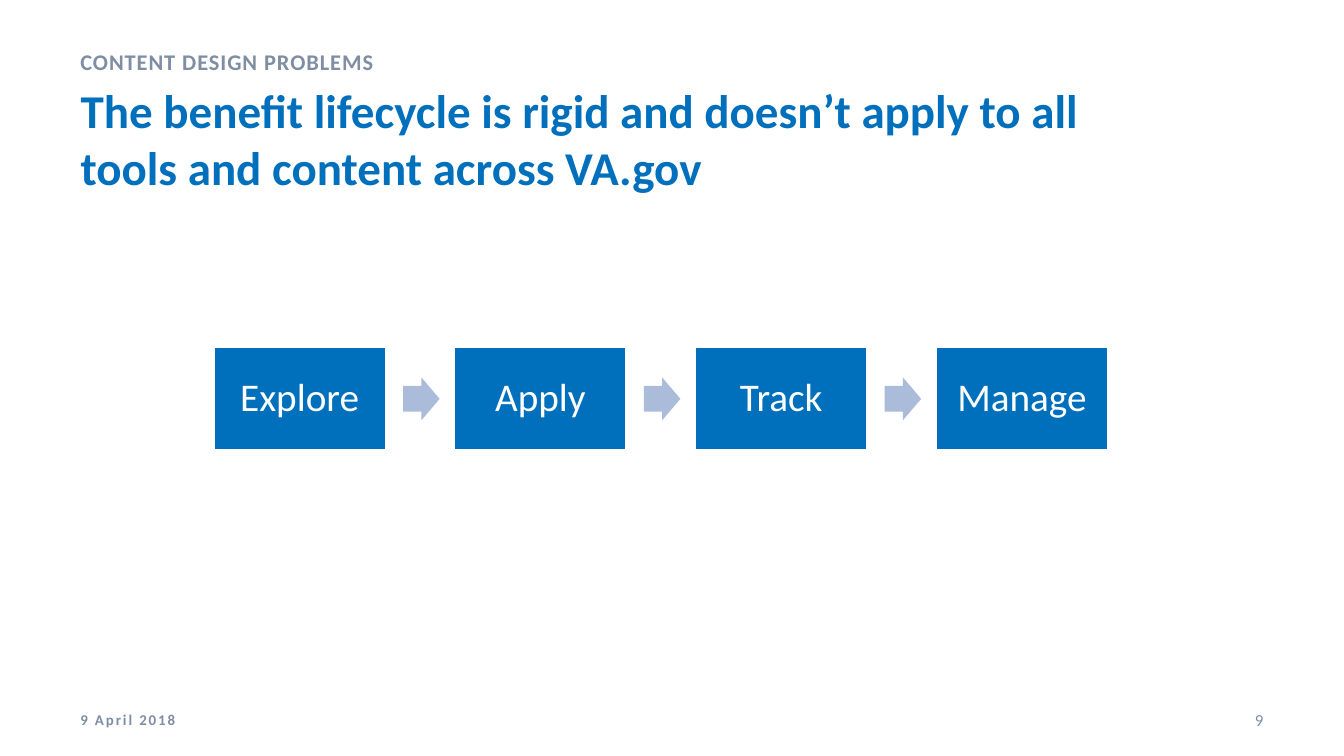
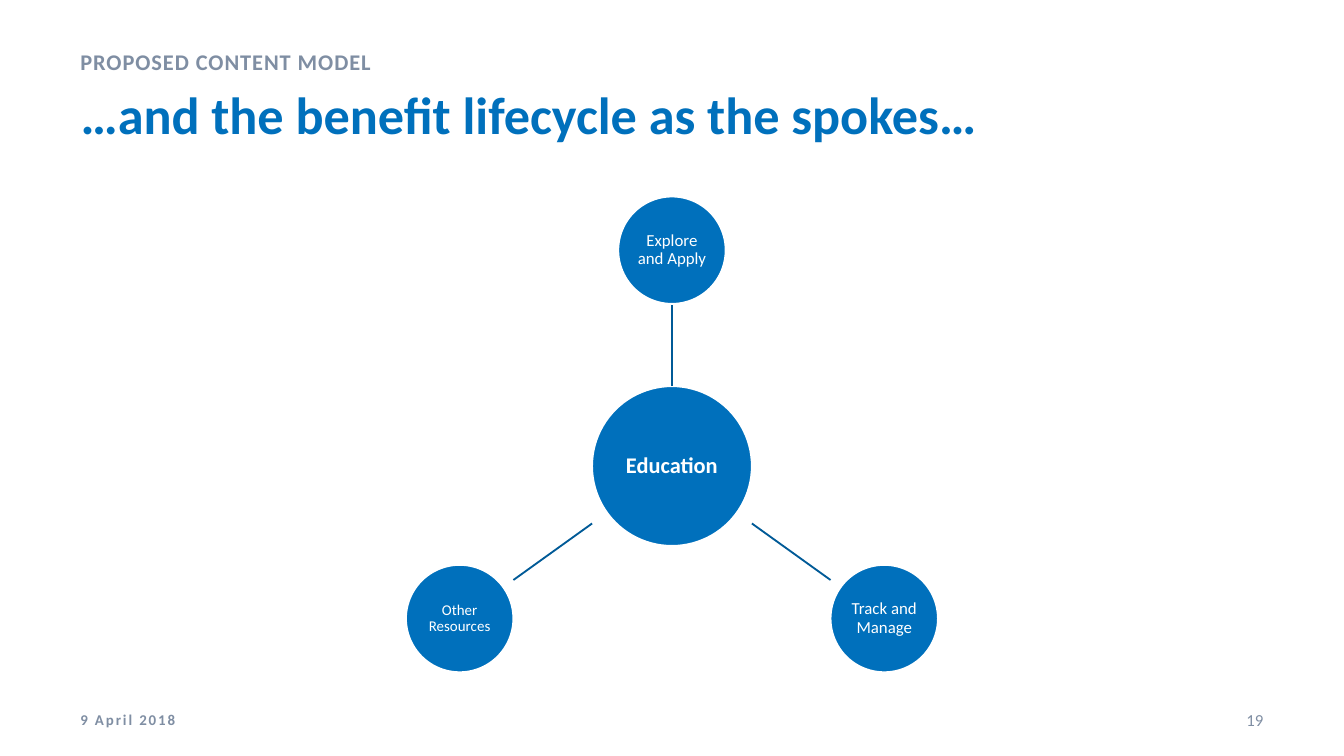
from dataclasses import dataclass
from math import cos, radians, sin

from lxml.etree import SubElement
from pptx import Presentation
from pptx.dml.color import RGBColor
from pptx.enum.shapes import MSO_CONNECTOR, MSO_SHAPE
from pptx.enum.text import MSO_ANCHOR as Anchor, MSO_AUTO_SIZE as AutoSize, PP_ALIGN as Align
from pptx.oxml.ns import qn
from pptx.presentation import Presentation as Deck
from pptx.shapes.autoshape import Shape
from pptx.slide import Slide
from pptx.text.text import TextFrame
from pptx.util import Cm, Pt

BLUE = RGBColor(0x00, 0x70, 0xBC)
DARK_BLUE = RGBColor(0x00, 0x5A, 0x97)
PALE_BLUE = RGBColor(0xAB, 0xBB, 0xDA)
GREY = RGBColor(0x7F, 0x8E, 0xA3)
WHITE = RGBColor(0xFF, 0xFF, 0xFF)

FONT = "Calibri"
DATE = "9 April 2018"
MARGIN = 1.27
HEADING_WIDTH = 20.96
FOOTER_TOP, FOOTER_HEIGHT = 13.23, 0.76

STAGES = ("Explore", "Apply", "Track", "Manage")
STAGE_LEFT, STAGE_WIDTH, STAGE_HEIGHT, STAGE_PITCH = 4.04, 3.25, 1.95, 4.55
STAGE_MIDDLE = 7.54
ARROW_WIDTH, ARROW_HEIGHT, ARROW_GAP = 0.69, 0.81, 0.33

HUB_X, HUB_Y = 12.7, 8.81
HUB_SIZE, SPOKE_SIZE = 3.02, 2.03


@dataclass(frozen=True)
class Box:
    left: float
    top: float
    width: float
    height: float

    def lengths(self) -> tuple[Cm, Cm, Cm, Cm]:
        return Cm(self.left), Cm(self.top), Cm(self.width), Cm(self.height)


@dataclass(frozen=True)
class TextStyle:
    size: float
    color: RGBColor
    bold: bool = False
    align: Align = Align.LEFT
    line_spacing: float = 1.0
    tracking: float = 0


@dataclass(frozen=True)
class Spoke:
    label: str
    angle: float
    distance: float
    size: float


KICKER_STYLE = TextStyle(12, GREY, bold=True, line_spacing=1.2, tracking=0.5)
DATE_STYLE = TextStyle(8, GREY, bold=True, tracking=1)
NUMBER_STYLE = TextStyle(9, GREY, align=Align.RIGHT)
STAGE_STYLE = TextStyle(21, WHITE, align=Align.CENTER, line_spacing=0.9)
HUB_STYLE = TextStyle(12, WHITE, bold=True, align=Align.CENTER, line_spacing=0.9)

SPOKES = (
    Spoke("Explore and Apply", -90, 4.08, 9),
    Spoke("Track and Manage", 35.7, 4.94, 9),
    Spoke("Other Resources", 144.3, 4.94, 8),
)


def write(frame: TextFrame, text: str, style: TextStyle, anchor: Anchor) -> None:
    frame.word_wrap = True
    frame.auto_size = AutoSize.NONE
    frame.vertical_anchor = anchor
    paragraph = frame.paragraphs[0]
    paragraph.alignment = style.align
    paragraph.line_spacing = style.line_spacing
    paragraph.space_before = Pt(0)
    run = paragraph.add_run()
    run.text = text
    if style.tracking:
        run._r.get_or_add_rPr().set("spc", str(round(style.tracking * 100)))
    font = paragraph.font
    font.name = FONT
    font.size = Pt(style.size)
    font.bold = style.bold
    font.color.rgb = style.color


def add_label(slide: Slide, box: Box, text: str, style: TextStyle,
              anchor: Anchor = Anchor.MIDDLE) -> None:
    write(slide.shapes.add_textbox(*box.lengths()).text_frame, text, style, anchor)


def add_filled(slide: Slide, kind: MSO_SHAPE, box: Box, fill: RGBColor) -> Shape:
    shape = slide.shapes.add_shape(kind, *box.lengths())
    shape.shadow.inherit = False
    shape.fill.solid()
    shape.fill.fore_color.rgb = fill
    shape.line.fill.background()
    return shape


def add_node(slide: Slide, kind: MSO_SHAPE, box: Box, text: str,
             style: TextStyle, inset: float) -> None:
    node = add_filled(slide, kind, box, BLUE)
    node.line.color.rgb = WHITE
    node.line.width = Pt(1)
    frame = node.text_frame
    frame.margin_left = frame.margin_right = Cm(inset)
    frame.margin_top = frame.margin_bottom = Cm(inset)
    write(frame, text, style, Anchor.MIDDLE)


def add_circle(slide: Slide, x: float, y: float, size: float,
               text: str, style: TextStyle) -> None:
    box = Box(x - size / 2, y - size / 2, size, size)
    add_node(slide, MSO_SHAPE.OVAL, box, text, style, 0.06)


def add_spoke(slide: Slide, spoke: Spoke) -> None:
    across, down = cos(radians(spoke.angle)), sin(radians(spoke.angle))
    reach = max(abs(across), abs(down))
    start = HUB_SIZE / 2 / reach
    end = spoke.distance - SPOKE_SIZE / 2 / reach
    link = slide.shapes.add_connector(
        MSO_CONNECTOR.STRAIGHT,
        Cm(HUB_X + start * across), Cm(HUB_Y + start * down),
        Cm(HUB_X + end * across), Cm(HUB_Y + end * down))
    link.line.color.rgb = DARK_BLUE
    link.line.width = Pt(1)
    SubElement(link._element.spPr, qn("a:effectLst"))
    style = TextStyle(spoke.size, WHITE, align=Align.CENTER, line_spacing=0.9)
    add_circle(slide, HUB_X + spoke.distance * across, HUB_Y + spoke.distance * down,
               SPOKE_SIZE, spoke.label, style)


def add_page(deck: Deck, kicker: str, heading: str, heading_size: float, number: int) -> Slide:
    slide = deck.slides.add_slide(deck.slide_layouts[5])
    title = slide.shapes.title
    title.left, title.top, title.width, title.height = Box(
        MARGIN, 1.42, HEADING_WIDTH, 1.75).lengths()
    write(title.text_frame, heading, TextStyle(heading_size, BLUE, bold=True), Anchor.TOP)
    add_label(slide, Box(MARGIN, 0.69, HEADING_WIDTH, 0.74), kicker, KICKER_STYLE, Anchor.TOP)
    add_label(slide, Box(MARGIN, FOOTER_TOP, 5.72, FOOTER_HEIGHT), DATE, DATE_STYLE)
    add_label(slide, Box(22.22, FOOTER_TOP, 1.91, FOOTER_HEIGHT), str(number), NUMBER_STYLE)
    return slide


def add_lifecycle(slide: Slide) -> None:
    for index, stage in enumerate(STAGES):
        left = STAGE_LEFT + index * STAGE_PITCH
        if index:
            add_filled(slide, MSO_SHAPE.RIGHT_ARROW,
                       Box(left - STAGE_PITCH + STAGE_WIDTH + ARROW_GAP,
                           STAGE_MIDDLE - ARROW_HEIGHT / 2, ARROW_WIDTH, ARROW_HEIGHT),
                       PALE_BLUE).adjustments[0] = 0.6
        add_node(slide, MSO_SHAPE.RECTANGLE,
                 Box(left, STAGE_MIDDLE - STAGE_HEIGHT / 2, STAGE_WIDTH, STAGE_HEIGHT),
                 stage, STAGE_STYLE, 0.22)


def add_hub(slide: Slide) -> None:
    add_circle(slide, HUB_X, HUB_Y, HUB_SIZE, "Education", HUB_STYLE)
    for spoke in SPOKES:
        add_spoke(slide, spoke)


def main() -> None:
    deck = Presentation()
    deck.slide_width, deck.slide_height = Cm(25.4), Cm(14.29)
    add_lifecycle(add_page(
        deck, "CONTENT DESIGN PROBLEMS",
        "The benefit lifecycle is rigid and doesn’t apply to all tools and content across VA.gov",
        25.2, 9))
    add_hub(add_page(
        deck, "PROPOSED CONTENT MODEL",
        "…and the benefit lifecycle as the spokes…", 28, 19))
    deck.save("out.pptx")


if __name__ == "__main__":
    main()
